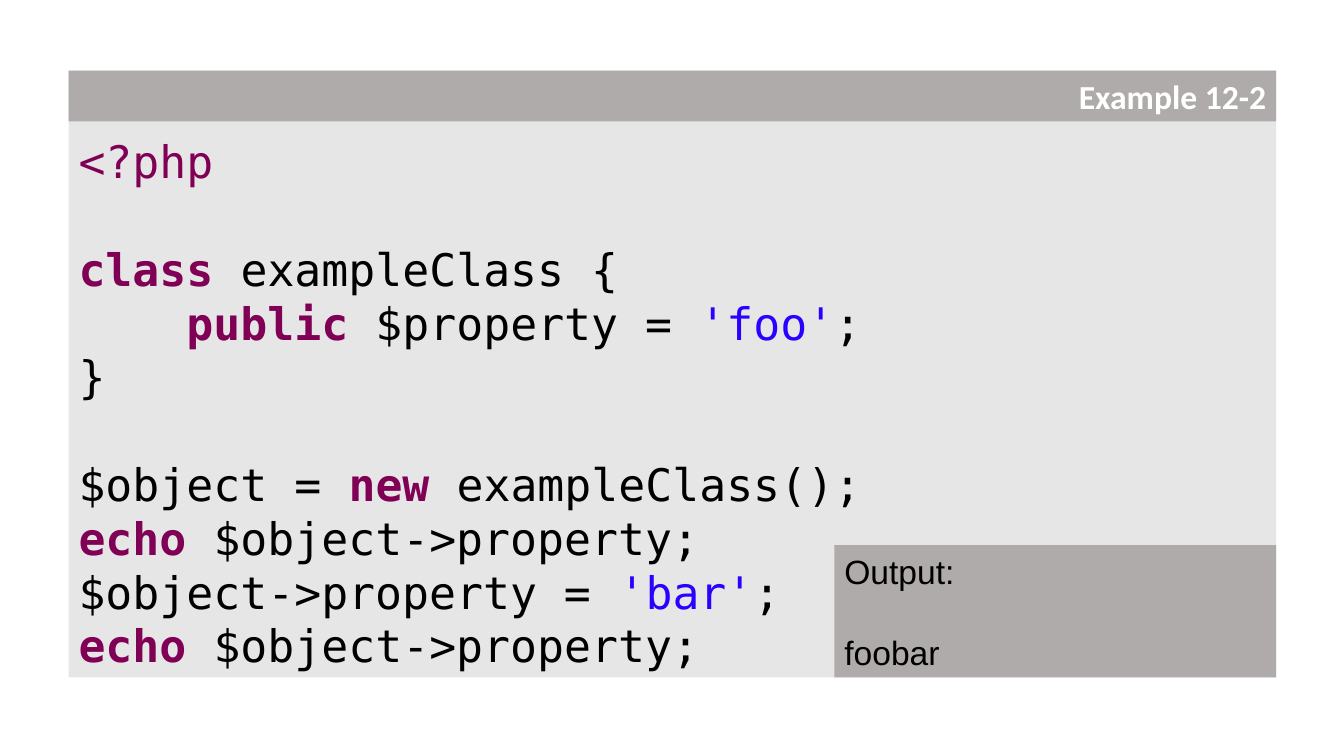
from pptx import Presentation
from pptx.dml.color import RGBColor
from pptx.enum.shapes import MSO_SHAPE as Shape
from pptx.enum.text import MSO_ANCHOR as Anchor, MSO_AUTO_SIZE as AutoSize, PP_ALIGN as Align
from pptx.util import Cm, Pt

PLUM, BLACK, BLUE, WHITE = "7F0055", "000000", "2A00FF", "FFFFFF"
LIGHT, GREY = "E7E6E6", "AFABAB"
LEFT, TOP, WIDTH = 1.73, 1.78, 30.43


def format_panel(shape, color, box, **frame_formats):
    shape.left, shape.top, shape.width, shape.height = map(Cm, box)
    shape.fill.solid()
    shape.fill.fore_color.rgb = RGBColor.from_string(color)
    shape.line.fill.background()
    formats = {"word_wrap": True, "auto_size": AutoSize.NONE, "vertical_anchor": Anchor.TOP,
               "margin_left": Cm(0.25), "margin_right": Cm(0.25),
               "margin_top": Cm(0.13), "margin_bottom": Cm(0.13)} | frame_formats
    for name, value in formats.items():
        setattr(shape.text_frame, name, value)


def add_run(paragraph, text, color, **font_formats):
    run = paragraph.add_run()
    run.text = text
    run.font.color.rgb = RGBColor.from_string(color)
    for name, value in font_formats.items():
        setattr(run.font, name, value)


presentation = Presentation()
presentation.slide_width, presentation.slide_height = Cm(33.87), Cm(19.05)
slide = presentation.slides.add_slide(presentation.slide_layouts[5])

code_panel = slide.shapes.add_shape(Shape.RECTANGLE, 0, 0, 0, 0)
code_panel.shadow.inherit = False
format_panel(code_panel, LIGHT, (LEFT, TOP, WIDTH, 15.29), margin_top=Cm(1.6))

code_lines = [
    (0, 0, [("<?php", PLUM, False)]),
    (1, 0, [("class ", PLUM, True), ("exampleClass {", BLACK, False)]),
    (0, 1, [("public ", PLUM, True), ("$property = ", BLACK, False),
            ("'foo'", BLUE, False), (";", BLACK, False)]),
    (0, 0, [("}", BLACK, False)]),
    (1, 0, [("$object = ", BLACK, False), ("new ", PLUM, True), ("exampleClass();", BLACK, False)]),
    (0, 0, [("echo ", PLUM, True), ("$object->property;", BLACK, False)]),
    (0, 0, [("$object->property = ", BLACK, False), ("'bar'", BLUE, False), (";", BLACK, False)]),
    (0, 0, [("echo ", PLUM, True), ("$object->property;", BLACK, False)]),
]
line_height = 38.4
code_frame = code_panel.text_frame
for index, (gap, indent, tokens) in enumerate(code_lines):
    paragraph = code_frame.add_paragraph() if index else code_frame.paragraphs[0]
    paragraph_formats = {"alignment": Align.LEFT, "line_spacing": Pt(line_height),
                         "space_before": Pt(gap * line_height)}
    for name, value in paragraph_formats.items():
        setattr(paragraph, name, value)
    paragraph._p.get_or_add_pPr().set("marL", str(Cm(2.72 * indent)))
    for text, color, bold in tokens:
        add_run(paragraph, text, color, name="DejaVu Sans Mono", size=Pt(32), bold=bold)

output_panel = slide.shapes.add_shape(Shape.RECTANGLE, 0, 0, 0, 0)
output_panel.shadow.inherit = False
format_panel(output_panel, GREY, (21.03, 13.74, 11.13, 3.33))
output_frame = output_panel.text_frame
for index, text in enumerate(["Output:", "foobar"]):
    paragraph = output_frame.add_paragraph() if index else output_frame.paragraphs[0]
    paragraph.alignment = Align.LEFT
    paragraph.space_before = Pt(29.3 * index)
    add_run(paragraph, text, BLACK, name="Arial", size=Pt(24))

title = slide.shapes.title
format_panel(title, GREY, (LEFT, TOP, WIDTH, 1.28), vertical_anchor=Anchor.MIDDLE)
title_paragraph = title.text_frame.paragraphs[0]
title_paragraph.alignment = Align.RIGHT
add_run(title_paragraph, "Example 12-2", WHITE, name="Calibri", size=Pt(24), bold=True)
slide.shapes._spTree.append(title._element)

presentation.save("out.pptx")
